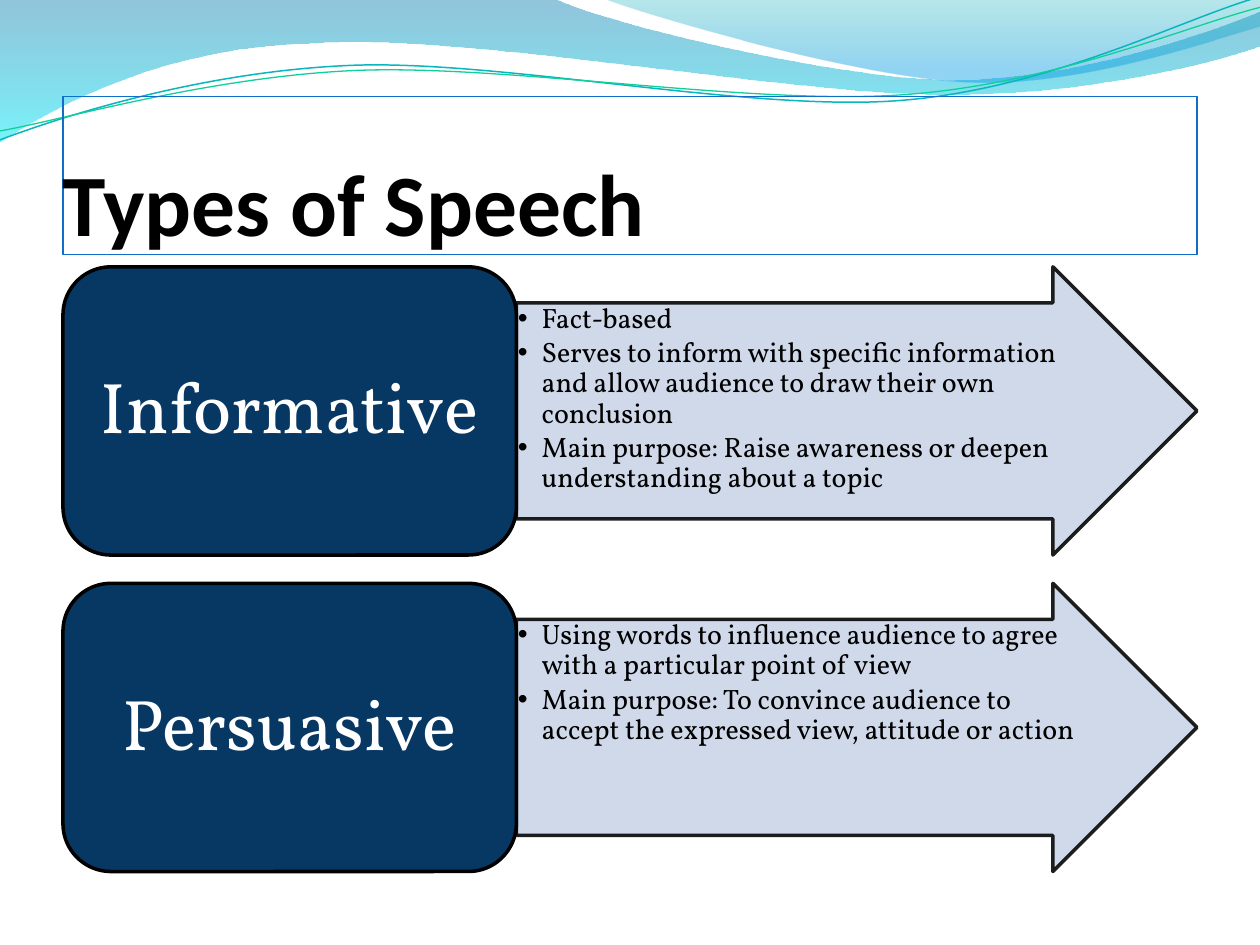
from dataclasses import dataclass
from typing import NamedTuple, Optional

from lxml.etree import SubElement
from pptx import Presentation
from pptx.dml.color import RGBColor as Rgb
from pptx.enum.shapes import MSO_SHAPE as Kind
from pptx.enum.text import MSO_ANCHOR as Anchor, PP_ALIGN as Align
from pptx.oxml.ns import qn
from pptx.util import Cm, Pt


@dataclass(frozen=True)
class Theme:
    black: str = "000000"
    white: str = "FFFFFF"
    navy: str = "073763"
    pale: str = "CAD4E8"
    frame: str = "0F6FC6"
    head: str = "Calibri"
    body: str = "Vollkorn"
    mark: str = "Arial"
    big: float = 50
    label: float = 41
    small: float = 16
    solid: int = 88


class Box(NamedTuple):
    left: float
    top: float
    wide: float
    high: float

    def lengths(self, drop: float = 0) -> list:
        return [Cm(side) for side in self._replace(top=self.top + drop)]


class Stop(NamedTuple):
    place: float
    color: str
    alpha: int


@dataclass(frozen=True)
class Wave:
    start: tuple
    steps: list
    stops: tuple = ()
    line: Optional[str] = None
    width: float = 0


@dataclass(frozen=True)
class Row:
    label: str
    points: list


THEME = Theme()
TITLE = Box(1.27, 1.95, 22.86, 3.18)
BLOCK = Box(1.27, 5.38, 9.14, 5.81)
LABEL = Box(1.55, 5.66, 8.58, 5.24)
ARROW = Box(10.41, 5.38, 13.72, 5.81)
POINTS = Box(10.41, 6.1, 11.53, 4.35)
PITCH = 6.38

WAVES = [
    Wave((0, 0), [
        (11.18, -0.03),
        (12.09, 0.43, 16.87, 1.6, 19.25, 1.6),
        (21.67, 1.6, 24.33, 0.66, 25.4, 0.23),
        (25.43, 0.91),
        (24.97, 1.12, 22.1, 1.93, 18.95, 1.9),
        (15.8, 1.9, 9.7, 0.71, 6.53, 0.86),
        (3.28, 0.91, 1.17, 2.11, -0.03, 2.87),
        (0, 0),
    ], stops=(Stop(0, "0079AD", 43), Stop(1, "00E9F7", 53))),
    Wave((12.17, -0.03), [
        (12.93, 0.28, 17.32, 1.57, 19.53, 1.65),
        (21.74, 1.75, 24.41, 0.81, 25.4, 0.53),
        (25.4, 0),
        (12.17, -0.03),
    ], stops=(Stop(0, "00ABB4", 28), Stop(0.8, "0099E4", 43))),
    Wave((0, 2.82), [
        (1.22, 2.36, 4.01, 1.45, 7.04, 1.32),
        (10.03, 1.19, 15.06, 2.26, 18.11, 2.03),
        (21.16, 1.8, 23.83, 0.38, 25.35, -0.05),
    ], line="09B6BE", width=0.85),
    Wave((0, 2.64), [
        (1.19, 2.44, 4.17, 1.55, 7.19, 1.42),
        (10.24, 1.3, 15.16, 2.13, 18.21, 1.91),
        (21.23, 1.7, 23.9, 0.53, 25.4, 0.15),
    ], line="10CF9B", width=0.75),
]

ROWS = [
    Row("Informative ", [
        "Fact-based",
        "Serves to inform with specific information and allow audience to draw their own conclusion",
        "Main purpose: Raise awareness or deepen understanding about a topic",
    ]),
    Row("Persuasive", [
        "Using words to influence audience to agree with a particular point of view",
        "Main purpose: To convince audience to accept the expressed view, attitude or action",
    ]),
]


def fade(node, alpha: int) -> None:
    SubElement(node, qn("a:alpha")).set("val", str(alpha * 1000))


def tints(shape) -> list:
    return list(shape.element.spPr.iter(qn("a:srgbClr")))


def paint(shape, fill: Optional[str] = None, line: Optional[str] = None,
          width: float = 0, alpha: int = 100) -> None:
    shape.shadow.inherit = False
    if fill:
        shape.fill.solid()
        shape.fill.fore_color.rgb = Rgb.from_string(fill)
    else:
        shape.fill.background()
    if line:
        shape.line.color.rgb = Rgb.from_string(line)
        shape.line.width = Pt(width)
    else:
        shape.line.fill.background()
    if alpha < 100:
        for node in tints(shape):
            fade(node, alpha)


def bend(shape, steps: list) -> None:
    nodes = iter(list(shape.element.spPr.iter(qn("a:lnTo"))))
    for step in steps:
        group = [next(nodes) for _ in range(len(step) // 2)]
        if len(group) == 3:
            curve = group[0].makeelement(qn("a:cubicBezTo"))
            group[0].addprevious(curve)
            for node in group:
                curve.append(node[0])
                node.getparent().remove(node)


def draw_wave(slide, wave: Wave) -> None:
    pen = slide.shapes.build_freeform(*[Cm(side) for side in wave.start], scale=1.0)
    spots = [(Cm(x), Cm(y)) for step in wave.steps for x, y in zip(step[::2], step[1::2])]
    pen.add_line_segments(spots, close=bool(wave.stops))
    shape = pen.convert_to_shape()
    bend(shape, wave.steps)
    paint(shape, line=wave.line, width=wave.width)
    if wave.stops:
        shape.fill.gradient()
        shape.fill.gradient_angle = 270
        for part, stop in zip(shape.fill.gradient_stops, wave.stops):
            part.position = stop.place
            part.color.rgb = Rgb.from_string(stop.color)
        for node, stop in zip(tints(shape), wave.stops):
            fade(node, stop.alpha)


def write(slide, spot: list, lines: list, *, font: str, size: float, color: str,
          bold: bool = False, align=Align.LEFT, anchor=Anchor.TOP, inset: tuple = (0, 0, 0, 0),
          space: float = 1.0, gap: float = 0, bullet: str = ""):
    shape = slide.shapes.add_textbox(*spot)
    frame = shape.text_frame
    frame.word_wrap = True
    frame.vertical_anchor = anchor
    (frame.margin_left, frame.margin_top,
     frame.margin_right, frame.margin_bottom) = [Cm(side) for side in inset]
    for rank, text in enumerate(lines):
        para = frame.add_paragraph() if rank else frame.paragraphs[0]
        para.alignment = align
        para.line_spacing = space
        para.space_before = Pt(gap if rank else 0)
        run = para.add_run()
        run.text = text
        run.font.name, run.font.size, run.font.bold = font, Pt(size), bold
        run.font.color.rgb = Rgb.from_string(color)
        if bullet:
            para.level = 1
            props = para._p.get_or_add_pPr()
            props.set("marL", str(Cm(0.48)))
            props.set("indent", str(-Cm(0.48)))
            SubElement(SubElement(props, qn("a:buClr")), qn("a:srgbClr")).set("val", color)
            SubElement(props, qn("a:buFont")).set("typeface", THEME.mark)
            SubElement(props, qn("a:buChar")).set("char", bullet)
    return shape


def draw_row(slide, row: Row, drop: float) -> None:
    arrow = slide.shapes.add_shape(Kind.RIGHT_ARROW, *ARROW.lengths(drop))
    arrow.adjustments[0], arrow.adjustments[1] = 0.75, 0.5
    paint(arrow, THEME.pale, THEME.black, 2, THEME.solid)
    write(slide, POINTS.lengths(drop), row.points, font=THEME.body, size=THEME.small,
          color=THEME.black, inset=(0.03,) * 4, space=0.9, gap=2.4, bullet="•")
    block = slide.shapes.add_shape(Kind.ROUNDED_RECTANGLE, *BLOCK.lengths(drop))
    paint(block, THEME.navy, THEME.black, 2)
    write(slide, LABEL.lengths(drop), [row.label], font=THEME.body, size=THEME.label,
          color=THEME.white, align=Align.CENTER, anchor=Anchor.MIDDLE,
          inset=(0.43, 0.23, 0.43, 0.23), space=0.9)


def main() -> None:
    deck = Presentation()
    deck.slide_width, deck.slide_height = Cm(25.4), Cm(19.05)
    slide = deck.slides.add_slide(deck.slide_layouts[6])
    for wave in WAVES:
        draw_wave(slide, wave)
    title = write(slide, TITLE.lengths(), ["Types of Speech"], font=THEME.head, size=THEME.big,
                  color=THEME.black, bold=True, anchor=Anchor.BOTTOM, inset=(0, 0.13, 0, 0))
    paint(title, line=THEME.frame, width=0.75)
    for rank, row in enumerate(ROWS):
        draw_row(slide, row, rank * PITCH)
    deck.save("out.pptx")


if __name__ == "__main__":
    main()
